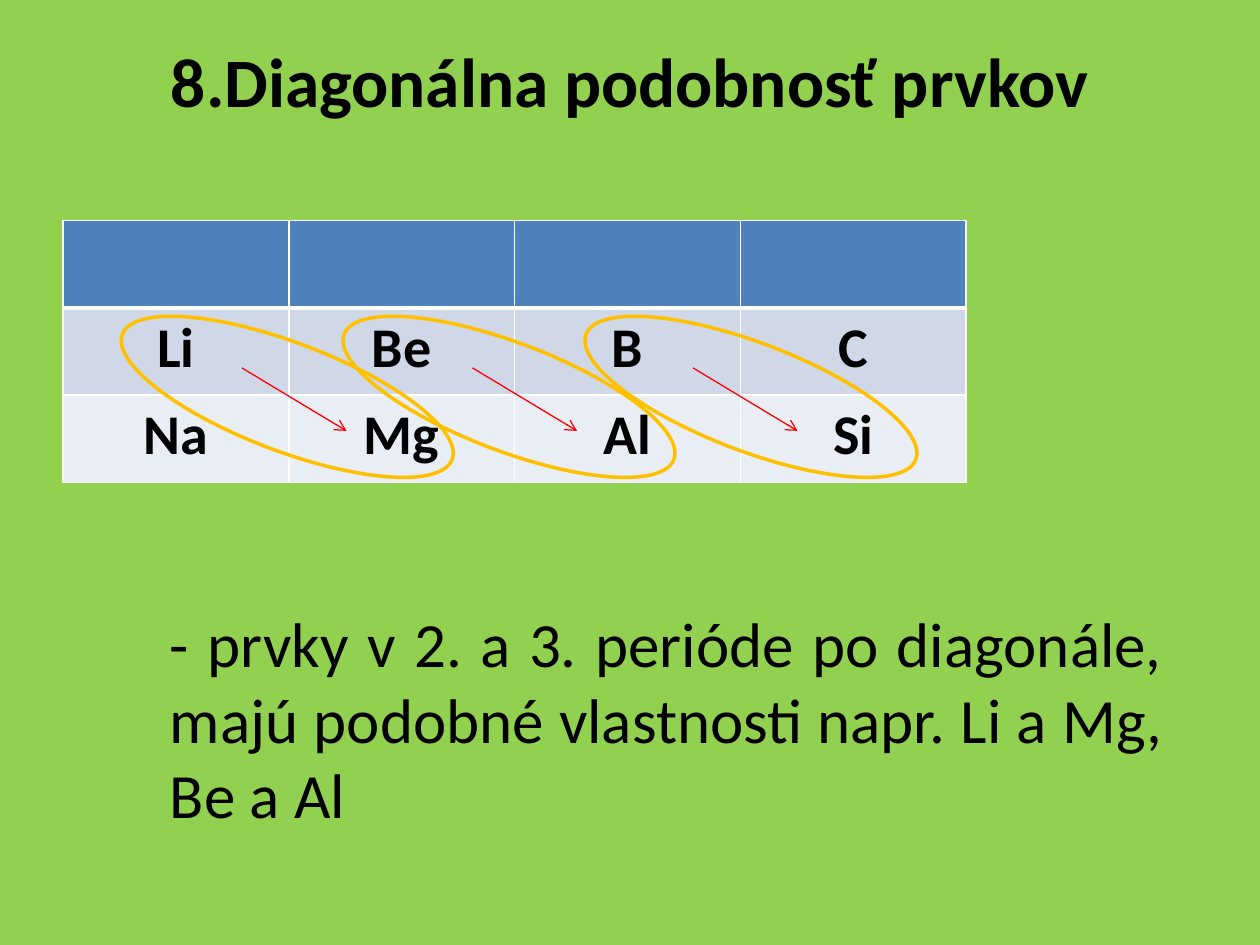
from lxml import etree
from pptx import Presentation
from pptx.dml.color import RGBColor
from pptx.enum import shapes, text
from pptx.oxml import ns
from pptx.util import Inches, Pt

GREEN = RGBColor(0x92, 0xD0, 0x50)
BLUE = RGBColor(0x4F, 0x81, 0xBD)
PALE_BLUE = RGBColor(0xD0, 0xD8, 0xE8)
PALER_BLUE = RGBColor(0xE9, 0xED, 0xF4)
BLACK = RGBColor(0, 0, 0)
RED = RGBColor(0xFF, 0, 0)
ORANGE = RGBColor(0xFF, 0xC0, 0)

PERIODS = [
    (BLUE, ["", "", "", ""]),
    (PALE_BLUE, ["Li", "Be", "B", "C"]),
    (PALER_BLUE, ["Na", "Mg", "Al", "Si"]),
]
ARROW_LEFTS = [1.92, 3.75, 5.5]
ELLIPSE_LEFTS = [0.88, 2.64, 4.56]


def write(frame, content, size, align, bold=False):
    """Fill a text frame with one formatted paragraph."""
    frame.text = content
    para = frame.paragraphs[0]
    para.alignment = align
    for span in para.runs:
        span.font.name = "Calibri"
        span.font.size = Pt(size)
        span.font.bold = bold
        span.font.color.rgb = BLACK


def add_text(page, left, top, width, height, content, size, align, bold=False):
    """Add a wrapping text box and return its frame."""
    box = page.shapes.add_textbox(Inches(left), Inches(top), Inches(width), Inches(height))
    frame = box.text_frame
    frame.word_wrap = True
    write(frame, content, size, align, bold)
    return frame


def add_border(cell, side, points):
    """Draw one white edge of a table cell."""
    edge = etree.SubElement(cell._tc.get_or_add_tcPr(), ns.qn(f"a:ln{side}"), w=str(Pt(points)))
    fill = etree.SubElement(edge, ns.qn("a:solidFill"))
    etree.SubElement(fill, ns.qn("a:srgbClr"), val="FFFFFF")


def add_elements_table(page):
    """Add the table of elements of the second and third period."""
    table = page.shapes.add_table(
        len(PERIODS), 4, Inches(0.5), Inches(1.75), Inches(7.17), Inches(2.08)
    ).table
    for row, (color, symbols) in enumerate(PERIODS):
        for column, symbol in enumerate(symbols):
            cell = table.cell(row, column)
            edges = {"L": 1, "R": 1, "T": 3 if row == 1 else 1, "B": 3 if row == 0 else 1}
            for side, points in edges.items():
                add_border(cell, side, points)
            cell.fill.solid()
            cell.fill.fore_color.rgb = color
            if symbol:
                write(cell.text_frame, symbol, 32, text.PP_ALIGN.CENTER, bold=True)


def add_arrow(page, left):
    """Add a red diagonal arrow between the two periods."""
    arrow = page.shapes.add_connector(
        shapes.MSO_CONNECTOR.STRAIGHT,
        Inches(left), Inches(2.92), Inches(left + 0.83), Inches(3.42),
    )
    arrow.line.color.rgb = RED
    arrow.line.width = Pt(0.75)
    etree.SubElement(arrow.line._get_or_add_ln(), ns.qn("a:tailEnd"), type="arrow")
    etree.SubElement(arrow._element.spPr, ns.qn("a:effectLst"))


def add_ellipse(page, left):
    """Add a tilted outline around a diagonal pair."""
    ellipse = page.shapes.add_shape(
        shapes.MSO_SHAPE.OVAL, Inches(left), Inches(2.72), Inches(2.8), Inches(0.86)
    )
    ellipse.rotation = 20.8
    ellipse.shadow.inherit = False
    ellipse.fill.background()
    ellipse.line.color.rgb = ORANGE
    ellipse.line.width = Pt(2)


def main():
    """Build the slide on diagonal similarity."""
    deck = Presentation()
    deck.slide_width, deck.slide_height = Inches(10), Inches(7.5)
    page = deck.slides.add_slide(deck.slide_layouts[6])
    page.background.fill.solid()
    page.background.fill.fore_color.rgb = GREEN

    title = add_text(page, 0.5, 0.3, 9, 1.25, "8.Diagonálna podobnosť prvkov",
                     39.6, text.PP_ALIGN.CENTER, bold=True)
    title.margin_top = 0
    add_elements_table(page)
    for left in ARROW_LEFTS:
        add_arrow(page, left)
    for left in ELLIPSE_LEFTS:
        add_ellipse(page, left)
    add_text(page, 1.25, 4.75, 8.08, 1.92,
             "- prvky v 2. a 3. perióde po diagonále, majú podobné vlastnosti "
             "napr. Li a Mg, Be a Al", 36, text.PP_ALIGN.JUSTIFY)
    deck.save("out.pptx")


if __name__ == "__main__":
    main()
